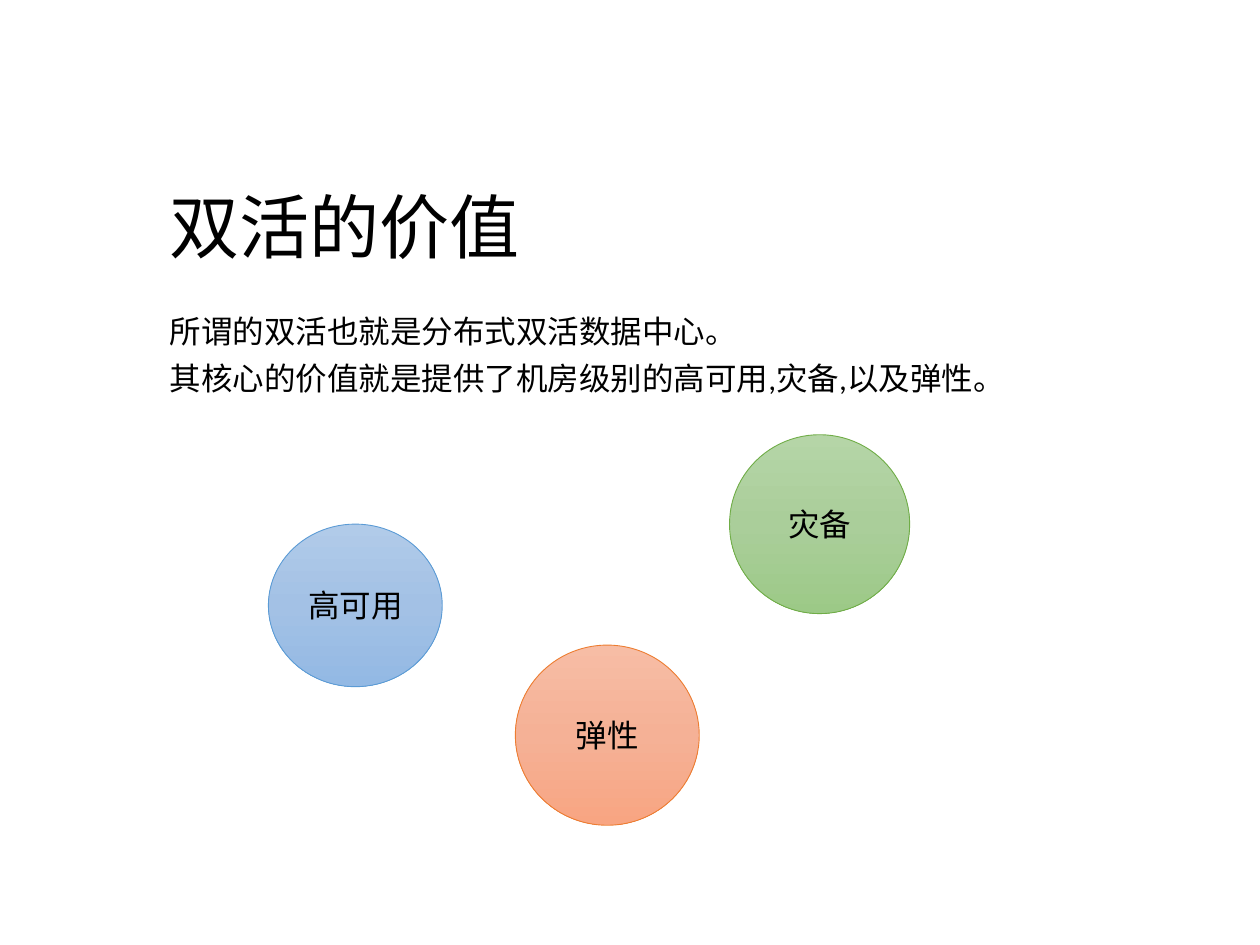
from copy import deepcopy
from pptx import Presentation
from pptx.dml.color import RGBColor
from pptx.enum.shapes import MSO_SHAPE
from pptx.enum.text import MSO_ANCHOR, PP_ALIGN
from pptx.oxml.ns import qn
from pptx.util import Inches, Pt

BLACK = "000000"
CIRCLES = [
    ("高可用", (2.13, 4.16, 1.38, 1.29), ("B1CBE9", "A3C1E5", "93B9E4"), "5B9BD5"),
    ("弹性", (4.09, 5.12, 1.46, 1.43), ("F7BDA5", "F5B196", "F8A582"), "ED7D31"),
    ("灾备", (5.79, 3.45, 1.43, 1.42), ("B5D5A7", "AACE9A", "9CC987"), "70AD47"),
]


def color(code):
    return RGBColor.from_string(code)


def write(shape, lines, size=18, font="Calibri", align=PP_ALIGN.LEFT,
          anchor=MSO_ANCHOR.TOP, spacing=1.0, before=0):
    frame = shape.text_frame
    frame.word_wrap = True
    frame.vertical_anchor = anchor
    for i, line in enumerate(lines):
        para = frame.add_paragraph() if i else frame.paragraphs[0]
        para.alignment = align
        para.line_spacing = spacing
        para.space_before = Pt(before)
        run = para.add_run()
        run.text = line
        run.font.size = Pt(size)
        run.font.name = font
        run.font.color.rgb = color(BLACK)


def shade(shape, codes):
    """Fill from top to bottom with evenly spaced colours."""
    fill = shape.fill
    fill.gradient()
    fill.gradient_angle = 270
    stops = shape._element.spPr.find(qn("a:gradFill")).find(qn("a:gsLst"))
    while len(stops) < len(codes):
        stops.append(deepcopy(stops[-1]))
    for i, (stop, code) in enumerate(zip(fill.gradient_stops, codes)):
        stop.position = i / (len(codes) - 1)
        stop.color.rgb = color(code)


def add_title(slide, box):
    shape = slide.shapes.add_textbox(*map(Inches, box))
    write(shape, ["双活的价值"], size=40, font="Arial",
          anchor=MSO_ANCHOR.BOTTOM, spacing=0.9)


def add_body(slide, box):
    shape = slide.shapes.add_textbox(*map(Inches, box))
    write(shape, ["所谓的双活也就是分布式双活数据中心。",
                  "其核心的价值就是提供了机房级别的高可用,灾备,以及弹性。"],
          spacing=0.9, before=7.5)


def add_circle(slide, label, box, codes, edge):
    shape = slide.shapes.add_shape(MSO_SHAPE.OVAL, *map(Inches, box))
    shape.shadow.inherit = False
    shade(shape, codes)
    shape.line.color.rgb = color(edge)
    shape.line.width = Pt(0.5)
    write(shape, [label], align=PP_ALIGN.CENTER, anchor=MSO_ANCHOR.MIDDLE)


def main():
    deck = Presentation()
    deck.slide_width, deck.slide_height = Inches(10), Inches(7.5)
    slide = deck.slides.add_slide(deck.slide_layouts[6])
    add_title(slide, (1.25, 1.23, 7.5, 0.95))
    add_body(slide, (1.25, 2.46, 7.5, 4.41))
    for circle in CIRCLES:
        add_circle(slide, *circle)
    deck.save("out.pptx")


if __name__ == "__main__":
    main()
